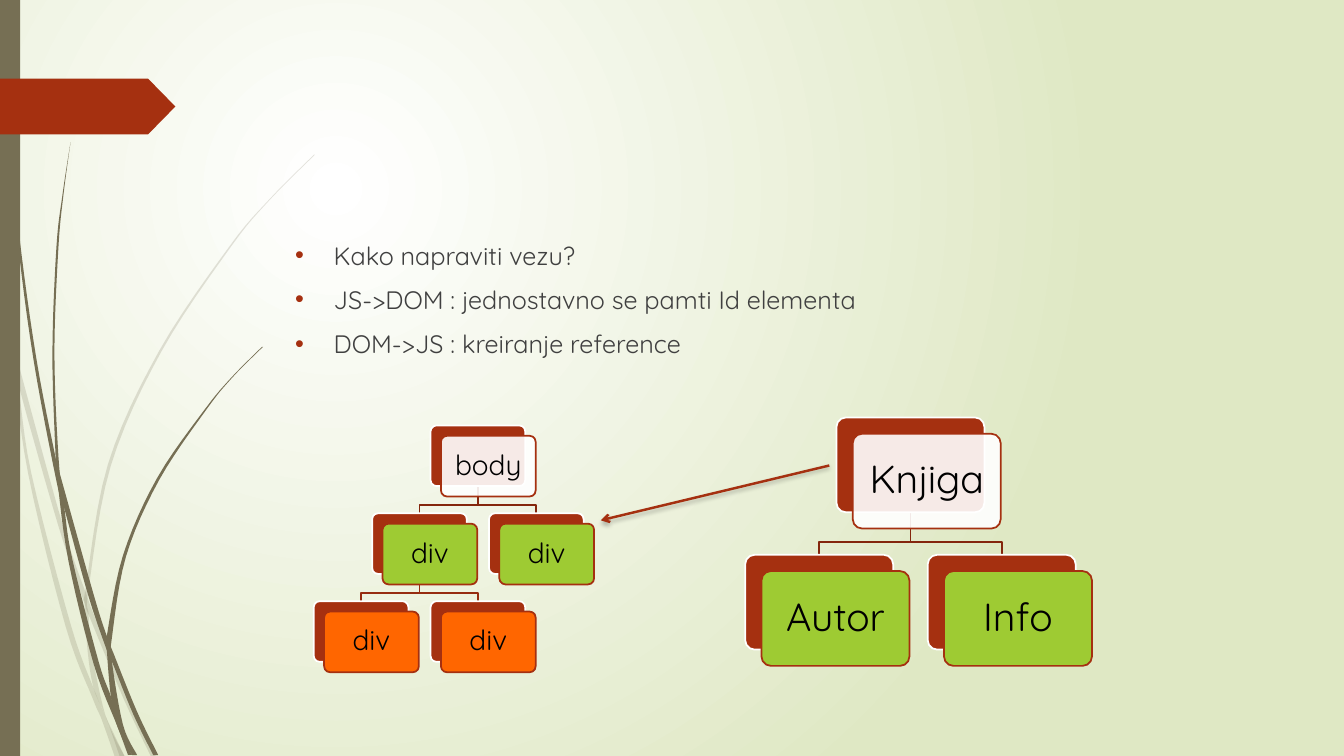
from dataclasses import dataclass

from lxml import etree
from pptx import Presentation
from pptx.dml.color import RGBColor
from pptx.enum.shapes import MSO_CONNECTOR as Connector, MSO_SHAPE as Shape
from pptx.enum.text import MSO_ANCHOR as Anchor, PP_ALIGN as Align
from pptx.oxml.ns import qn
from pptx.util import Cm, Pt


@dataclass(frozen=True)
class Theme:
    font: str = "Quicksand"
    rust: str = "A53010"
    branches: tuple = ("84260D", "962C0F")
    olive: str = "766F54"
    green: str = "9ECB33"
    orange: str = "FF6600"
    white: str = "FFFFFF"
    black: str = "000000"
    body_text: str = "404040"
    backdrop: str = "DFE8C4"
    body_size: int = 18
    tree_size: int = 28
    small_tree_size: int = 20


@dataclass(frozen=True)
class Node:
    label: str
    fill: str
    children: tuple = ()


@dataclass(frozen=True)
class TreeStyle:
    scale: float
    size: int


THEME = Theme()
GRID = Cm(0.0254)
BOX_WIDTH, BOX_HEIGHT, BOX_OFFSET = 3.73, 2.39, 0.41
HALF_PITCH, ROW_PITCH, ELBOW_DROP = 2.3, 3.46, 0.74

PALE_BLADES = [
    ([(0, 282), (11, 350), (28, 470), (65, 621), (92, 693), (101, 714), (114, 751)],
     [(0, 299), (17, 376), (31, 469), (70, 619), (93, 683), (105, 711), (124, 751)]),
    ([(14, 345), (17, 376), (58, 522), (84, 599), (88, 610), (123, 694), (150, 751)],
     [(14, 345), (62, 520), (88, 596), (92, 607), (127, 692), (155, 751)]),
    ([(312, 153), (268, 197), (228, 244), (158, 348), (107, 461), (85, 584), (84, 599),
      (87, 646), (93, 683), (105, 711), (119, 751)],
     [(312, 154), (268, 198), (229, 245), (160, 349), (110, 462), (88, 584), (88, 610),
      (91, 646), (105, 711), (124, 751)]),
]
DARK_BLADES = [
    ([(3, 0), (7, 110), (17, 233), (33, 355), (56, 477), (64, 505), (88, 592),
      (106, 645), (111, 656), (132, 708), (152, 749)],
     [(4, 0), (8, 109), (19, 232), (36, 355), (55, 453), (60, 472), (93, 590),
      (106, 631), (113, 649), (136, 706), (157, 749)]),
    ([(70, 141), (62, 193), (56, 245), (52, 349), (55, 449), (57, 477), (68, 557),
      (93, 659), (117, 722), (127, 749)],
     [(70, 141), (63, 193), (58, 245), (54, 349), (58, 453), (64, 505), (72, 556),
      (98, 657), (110, 691), (117, 719), (131, 749)]),
    ([(260, 344), (231, 373), (204, 405), (156, 474), (122, 551), (106, 631),
      (106, 645), (110, 691), (117, 722), (131, 749)],
     [(261, 344), (231, 374), (205, 406), (158, 476), (125, 552), (111, 633),
      (111, 656), (122, 719), (136, 749)]),
]


def set_fill(shape, color, opacity=100):
    shape.fill.solid()
    shape.fill.fore_color.rgb = RGBColor.from_string(color)
    if opacity < 100:
        color_element = shape._element.spPr.find(qn("a:solidFill"))[0]
        etree.SubElement(color_element, qn("a:alpha"), val=str(opacity * 1000))


def set_line(shape, color, width=1.25):
    shape.line.color.rgb = RGBColor.from_string(color)
    shape.line.width = Pt(width)


def set_font(font, size, color):
    font.name = THEME.font
    font.size = Pt(size)
    font.color.rgb = RGBColor.from_string(color)


def set_background(slide):
    fill = slide.background.fill
    fill.gradient()
    for stop, color in zip(fill.gradient_stops, (THEME.white, THEME.backdrop)):
        stop.color.rgb = RGBColor.from_string(color)
    gradient = slide.element.find(".//" + qn("a:gradFill"))
    gradient.remove(gradient.find(qn("a:lin")))
    circle = etree.SubElement(gradient, qn("a:path"), path="circle")
    etree.SubElement(circle, qn("a:fillToRect"), l="50000", t="50000", r="100000", b="100000")


def smooth(points, steps=6):
    padded = [points[0], *points, points[-1]]
    curve = []
    for a, b, c, d in zip(padded, padded[1:], padded[2:], padded[3:]):
        for step in range(steps):
            t = step / steps
            curve.append(tuple(
                q + t / 2 * (r - p + t * (2 * p - 5 * q + 4 * r - s + t * (3 * (q - r) + s - p)))
                for p, q, r, s in zip(a, b, c, d)))
    return curve + [points[-1]]


def add_path(slide, points, close):
    builder = slide.shapes.build_freeform(*points[0])
    builder.add_line_segments(points[1:], close=close)
    shape = builder.convert_to_shape()
    shape.shadow.inherit = False
    return shape


def add_blade(slide, edges, opacity):
    left, right = edges
    outline = smooth(left) + smooth(right)[::-1]
    blade = add_path(slide, [(round(x * GRID), round(y * GRID)) for x, y in outline], True)
    set_fill(blade, THEME.olive, opacity)
    blade.line.fill.background()


def add_block(slide, kind, left, top, width, height, color, opacity=100):
    block = slide.shapes.add_shape(kind, Cm(left), Cm(top), Cm(width), Cm(height))
    block.shadow.inherit = False
    set_fill(block, color, opacity)
    block.line.fill.background()
    return block


def add_bullets(slide, lines):
    box = slide.shapes.add_textbox(Cm(7.19), Cm(5.92), Cm(24.77), Cm(3.6))
    frame = box.text_frame
    frame.word_wrap = True
    frame.text = "\n".join(lines)
    for index, paragraph in enumerate(frame.paragraphs):
        properties = paragraph._p.get_or_add_pPr()
        properties.set("marL", str(Cm(0.97)))
        properties.set("indent", str(-Cm(0.97)))
        bullet_color = etree.SubElement(properties, qn("a:buClr"))
        etree.SubElement(bullet_color, qn("a:srgbClr"), val=THEME.rust)
        etree.SubElement(properties, qn("a:buFont"), typeface="Arial")
        etree.SubElement(properties, qn("a:buChar"), char="•")
        paragraph.space_before = Pt(10 if index else 0)
        set_font(paragraph.font, THEME.body_size, THEME.body_text)


def add_card(slide, node, left, top, style):
    width, height, offset = (style.scale * n for n in (BOX_WIDTH, BOX_HEIGHT, BOX_OFFSET))
    back = add_block(slide, Shape.ROUNDED_RECTANGLE, left, top, width, height, THEME.rust)
    front = add_block(slide, Shape.ROUNDED_RECTANGLE, left + offset, top + offset,
                      width, height, node.fill, 90 if node.fill == THEME.white else 100)
    for card, color in ((back, THEME.white), (front, THEME.rust)):
        card.adjustments[0] = 0.1
        set_line(card, color)
    frame = front.text_frame
    frame.text = node.label
    frame.word_wrap = False
    frame.vertical_anchor = Anchor.MIDDLE
    paragraph = frame.paragraphs[0]
    paragraph.alignment = Align.CENTER
    paragraph.line_spacing = 0.9
    set_font(paragraph.font, style.size, THEME.black)


def add_tree(slide, node, left, top, style, level=0):
    scale = style.scale
    center = left + scale * BOX_WIDTH / 2
    bottom = top + scale * BOX_HEIGHT
    elbow = bottom + scale * ELBOW_DROP
    child_top = top + scale * ROW_PITCH
    shifts = [side * scale * HALF_PITCH for side in (-1, 1)]
    branches = list(zip(node.children, shifts))
    for _, shift in branches:
        corners = [(center, bottom), (center, elbow),
                   (center + shift, elbow), (center + shift, child_top)]
        branch = add_path(slide, [(Cm(x), Cm(y)) for x, y in corners], False)
        branch.fill.background()
        set_line(branch, THEME.branches[level])
    add_card(slide, node, left, top, style)
    for child, shift in branches:
        add_tree(slide, child, left + shift, child_top, style, level + 1)


def add_arrow(slide, start, end):
    arrow = slide.shapes.add_connector(Connector.STRAIGHT, *map(Cm, start + end))
    set_line(arrow, THEME.rust, 1.75)
    etree.SubElement(arrow.line._get_or_add_ln(), qn("a:tailEnd"), type="arrow")
    effects = etree.SubElement(arrow._element.spPr, qn("a:effectLst"))
    shadow = etree.SubElement(effects, qn("a:outerShdw"), blurRad=str(Pt(3)),
                              dist=str(Pt(2)), dir="5400000", rotWithShape="0")
    color = etree.SubElement(shadow, qn("a:srgbClr"), val=THEME.black)
    etree.SubElement(color, qn("a:alpha"), val="25000")


def main():
    presentation = Presentation()
    presentation.slide_width, presentation.slide_height = Cm(33.87), Cm(19.05)
    slide = presentation.slides.add_slide(presentation.slide_layouts[6])
    set_background(slide)
    for blades, opacity in ((PALE_BLADES, 20), (DARK_BLADES, 100)):
        for edges in blades:
            add_blade(slide, edges, opacity)
    add_block(slide, Shape.RECTANGLE, 0, 0, 0.51, 19.05, THEME.olive)
    flag = add_block(slide, Shape.PENTAGON, 0, 1.98, 4.42, 1.41, THEME.rust)
    flag.adjustments[0] = 0.49
    add_bullets(slide, ["Kako napraviti vezu?",
                        "JS->DOM : jednostavno se pamti Id elementa",
                        "DOM->JS : kreiranje reference"])
    book = Node("Knjiga", THEME.white, (Node("Autor", THEME.green), Node("Info", THEME.green)))
    leaf = Node("div", THEME.orange)
    page = Node("body", THEME.white,
                (Node("div", THEME.green, (leaf, leaf)), Node("div", THEME.green)))
    add_tree(slide, book, 21.08, 10.52, TreeStyle(1, THEME.tree_size))
    add_tree(slide, page, 10.85, 10.72, TreeStyle(0.64, THEME.small_tree_size))
    add_arrow(slide, (20.9, 11.73), (15.14, 13.11))
    presentation.save("out.pptx")


if __name__ == "__main__":
    main()
